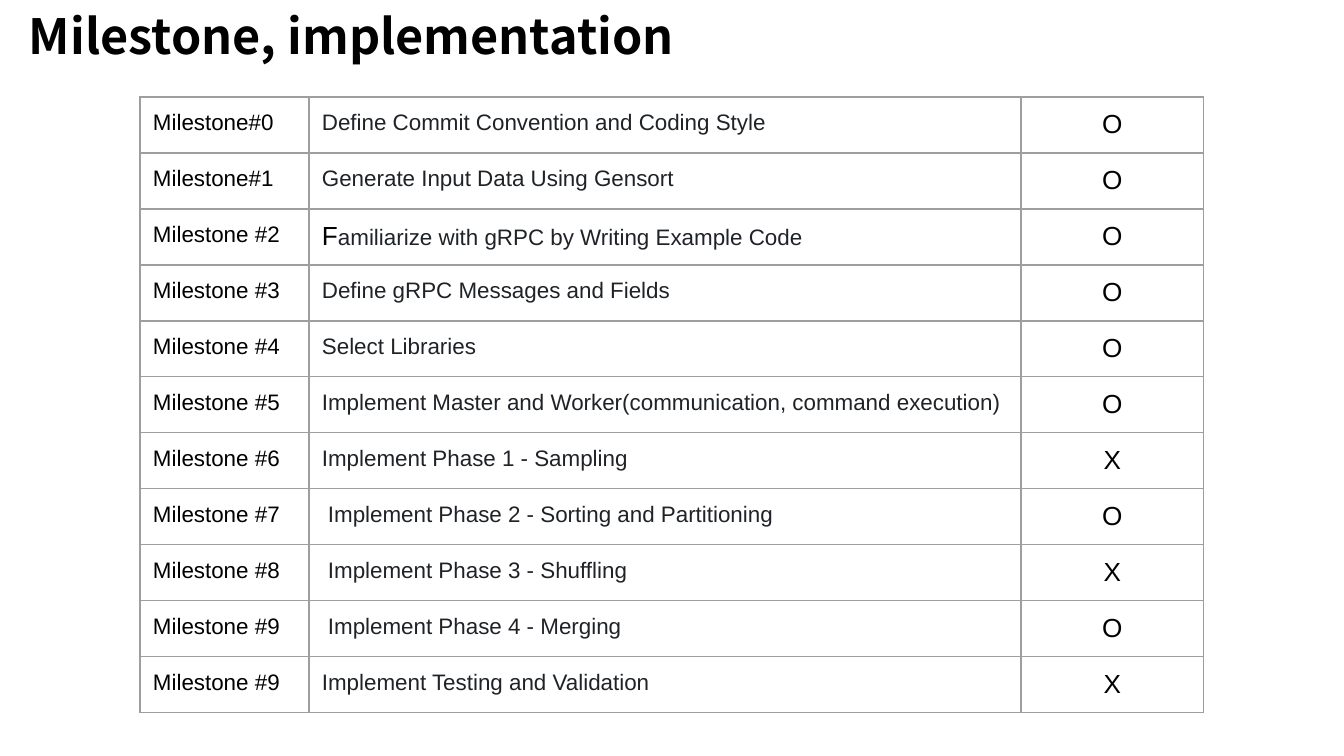
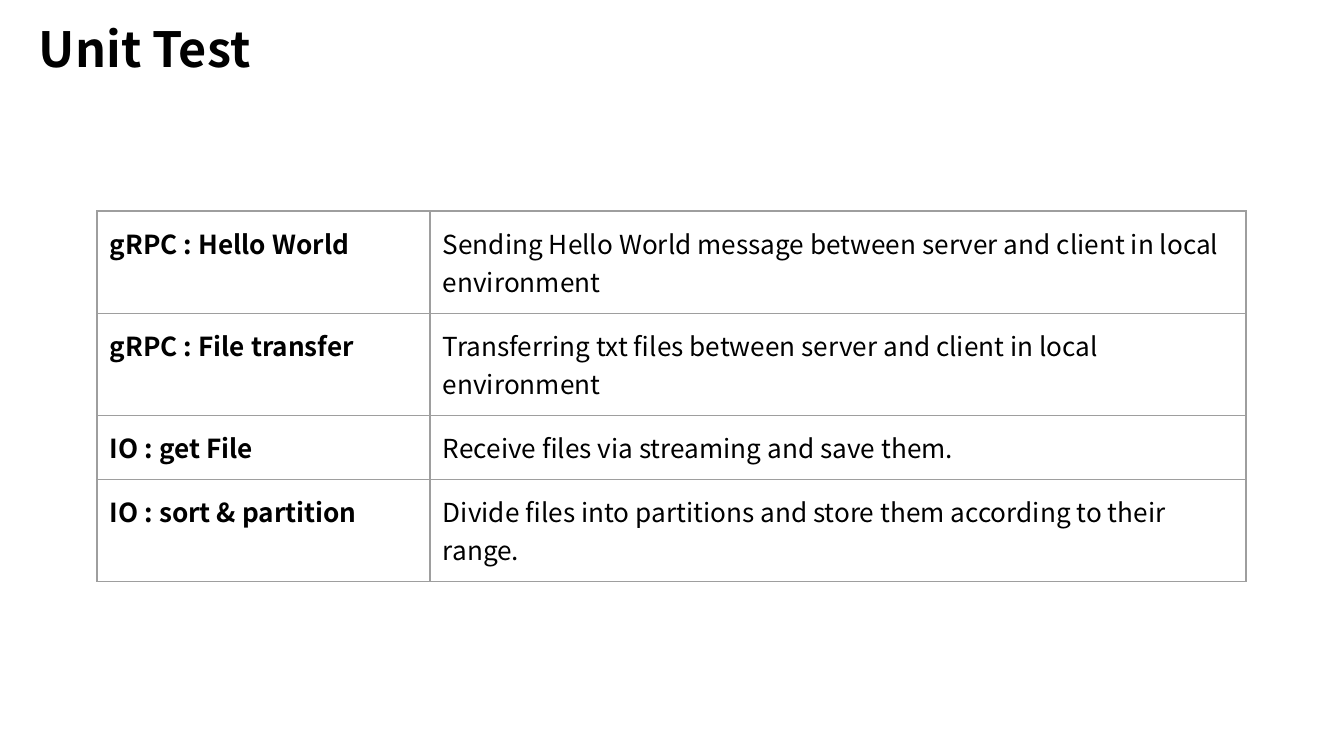
from dataclasses import dataclass

from lxml import etree
from pptx import Presentation
from pptx.dml.color import RGBColor
from pptx.enum.text import MSO_ANCHOR, MSO_AUTO_SIZE, PP_ALIGN
from pptx.oxml.ns import qn
from pptx.slide import Slide
from pptx.table import _Cell
from pptx.text.text import _Paragraph
from pptx.util import Emu, Pt

LEFT, CENTER = PP_ALIGN.LEFT, PP_ALIGN.CENTER
TOP = MSO_ANCHOR.TOP
NO_FIT = MSO_AUTO_SIZE.NONE

PAGE_WIDTH, PAGE_HEIGHT = 1344, 756
EMU_PER_PX = 9144000 / PAGE_WIDTH
TITLE_ONLY = 5


@dataclass(frozen=True)
class Theme:
    ink: str = "000000"
    soft_ink: str = "1F2328"
    border: str = "9E9E9E"
    paper: str = "FFFFFF"
    heading_font: str = "Noto Sans CJK KR"
    body_font: str = "Arial"
    title_size: int = 26
    large_size: int = 14
    small_size: int = 12
    border_width: float = 0.75
    inset: int = 13


THEME = Theme()


@dataclass(frozen=True)
class Style:
    font: str
    size: int
    color: str = THEME.ink
    bold: bool = False
    align: PP_ALIGN = LEFT


@dataclass(frozen=True)
class Column:
    width: int
    style: Style


@dataclass(frozen=True)
class Task:
    label: str
    text: str
    done: bool
    indent: int = 0
    large_initial: bool = False


@dataclass(frozen=True)
class UnitTest:
    label: str
    text: str
    height: int = 91


TITLE = Style(THEME.heading_font, THEME.title_size, bold=True)
LABEL = Style(THEME.body_font, THEME.small_size)
DESCRIPTION = Style(THEME.body_font, THEME.small_size, THEME.soft_ink)
MARK = Style(THEME.body_font, THEME.large_size, align=CENTER)
INITIAL = Style(THEME.body_font, THEME.large_size)
TEST_NAME = Style(THEME.heading_font, THEME.large_size, bold=True)
TEST_TEXT = Style(THEME.heading_font, THEME.large_size)

MILESTONE_COLUMNS = [Column(169, LABEL), Column(712, DESCRIPTION), Column(183, MARK)]
TEST_COLUMNS = [Column(333, TEST_NAME), Column(816, TEST_TEXT)]

TASKS = [
    Task("Milestone#0", "Define Commit Convention and Coding Style", True),
    Task("Milestone#1", "Generate Input Data Using Gensort", True),
    Task("Milestone #2", "Familiarize with gRPC by Writing Example Code", True,
         large_initial=True),
    Task("Milestone #3", "Define gRPC Messages and Fields", True),
    Task("Milestone #4", "Select Libraries", True),
    Task("Milestone #5",
         "Implement Master and Worker(communication, command execution)", True),
    Task("Milestone #6", "Implement Phase 1 - Sampling", False),
    Task("Milestone #7", "Implement Phase 2 - Sorting and Partitioning", True, indent=6),
    Task("Milestone #8", "Implement Phase 3 - Shuffling", False, indent=6),
    Task("Milestone #9", "Implement Phase 4 - Merging", True, indent=6),
    Task("Milestone #9", "Implement Testing and Validation", False),
]

UNIT_TESTS = [
    UnitTest("gRPC : Hello World",
             "Sending Hello World message between server and client in local environment"),
    UnitTest("gRPC : File transfer",
             "Transferring txt files between server and client in local environment"),
    UnitTest("IO : get File", "Receive files via streaming and save them.", height=59),
    UnitTest("IO : sort & partition",
             "Divide files into partitions and store them according to their range."),
]


def px(length: int) -> Emu:
    return Emu(round(length * EMU_PER_PX))


def add_text(para: _Paragraph, text: str, *, font: str, size: int, color: str,
             bold: bool, align: PP_ALIGN) -> None:
    para.alignment = align
    span = para.add_run()
    span.text = text
    span.font.name = font
    span.font.size = Pt(size)
    span.font.bold = bold
    span.font.color.rgb = RGBColor.from_string(color)


def add_styled(para: _Paragraph, text: str, style: Style) -> None:
    add_text(para, text, font=style.font, size=style.size, color=style.color,
             bold=style.bold, align=style.align)


def set_insets(target, inset: int) -> None:
    """Give a cell or a text frame the same margin on every side."""
    target.margin_left = target.margin_right = px(inset)
    target.margin_top = target.margin_bottom = px(inset)


def add_page(deck, title: str, left: int, top: int) -> Slide:
    page = deck.slides.add_slide(deck.slide_layouts[TITLE_ONLY])
    page.background.fill.solid()
    page.background.fill.fore_color.rgb = RGBColor.from_string(THEME.paper)
    box = page.shapes.title
    box.left, box.top, box.width, box.height = px(left), px(top), px(830), px(97)
    frame = box.text_frame
    frame.word_wrap = True
    frame.auto_size = NO_FIT
    frame.vertical_anchor = TOP
    set_insets(frame, THEME.inset)
    para = frame.paragraphs[0]
    para.line_spacing = 0.9
    add_styled(para, title, TITLE)
    return page


def add_borders(cell: _Cell) -> None:
    properties = cell._tc.get_or_add_tcPr()
    for side in ("lnL", "lnR", "lnT", "lnB"):
        line = etree.SubElement(properties, qn(f"a:{side}"),
                                w=str(Pt(THEME.border_width)))
        fill = etree.SubElement(line, qn("a:solidFill"))
        etree.SubElement(fill, qn("a:srgbClr"), val=THEME.border)


def add_grid(page: Slide, left: int, top: int, columns: list[Column],
             heights: list[int]):
    """Add an empty bordered table without fill or banding."""
    width = sum(column.width for column in columns)
    frame = page.shapes.add_table(len(heights), len(columns), px(left), px(top),
                                  px(width), px(sum(heights)))
    table = frame.table
    table.first_row = table.horz_banding = False
    for index, column in enumerate(columns):
        table.columns[index].width = px(column.width)
    for index, height in enumerate(heights):
        table.rows[index].height = px(height)
    for cell in table.iter_cells():
        set_insets(cell, THEME.inset)
        add_borders(cell)
        cell.fill.background()
    return table


def fill_row(table, row: int, columns: list[Column], texts: list[str]) -> None:
    for index, (column, text) in enumerate(zip(columns, texts)):
        para = table.cell(row, index).text_frame.paragraphs[0]
        add_styled(para, text, column.style)


def build_milestones(deck) -> None:
    page = add_page(deck, "Milestone, implementation", 16, 0)
    heights = [56] * (len(TASKS) - 1) + [48]
    table = add_grid(page, 140, 97, MILESTONE_COLUMNS, heights)
    for row, task in enumerate(TASKS):
        cell = table.cell(row, 1)
        cell.margin_left = px(THEME.inset + task.indent)
        text = task.text
        if task.large_initial:
            add_styled(cell.text_frame.paragraphs[0], text[0], INITIAL)
            text = text[1:]
        fill_row(table, row, MILESTONE_COLUMNS,
                 [task.label, text, "O" if task.done else "X"])


def build_unit_tests(deck) -> None:
    page = add_page(deck, "Unit Test", 26, 13)
    heights = [test.height for test in UNIT_TESTS]
    table = add_grid(page, 97, 211, TEST_COLUMNS, heights)
    for row, test in enumerate(UNIT_TESTS):
        fill_row(table, row, TEST_COLUMNS, [test.label, test.text])


def main() -> None:
    deck = Presentation()
    deck.slide_width, deck.slide_height = px(PAGE_WIDTH), px(PAGE_HEIGHT)
    build_milestones(deck)
    build_unit_tests(deck)
    deck.save("out.pptx")


if __name__ == "__main__":
    main()
